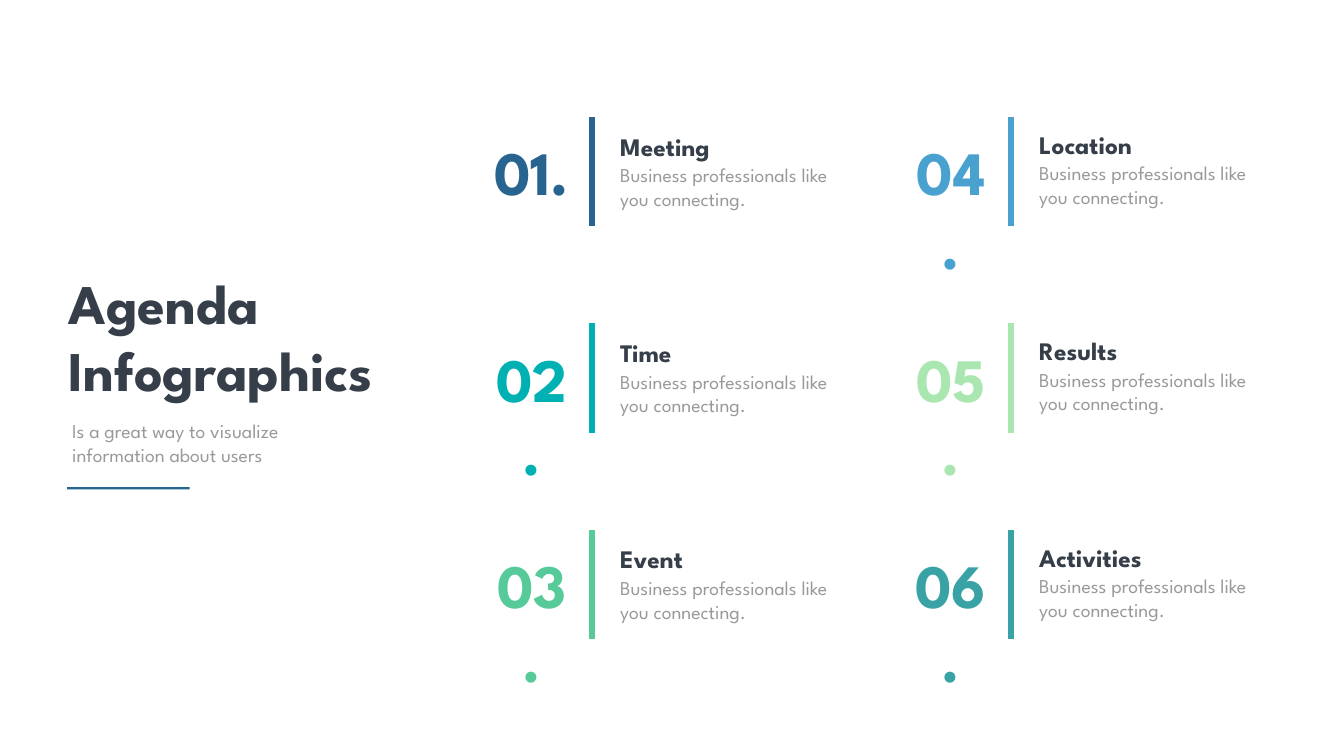
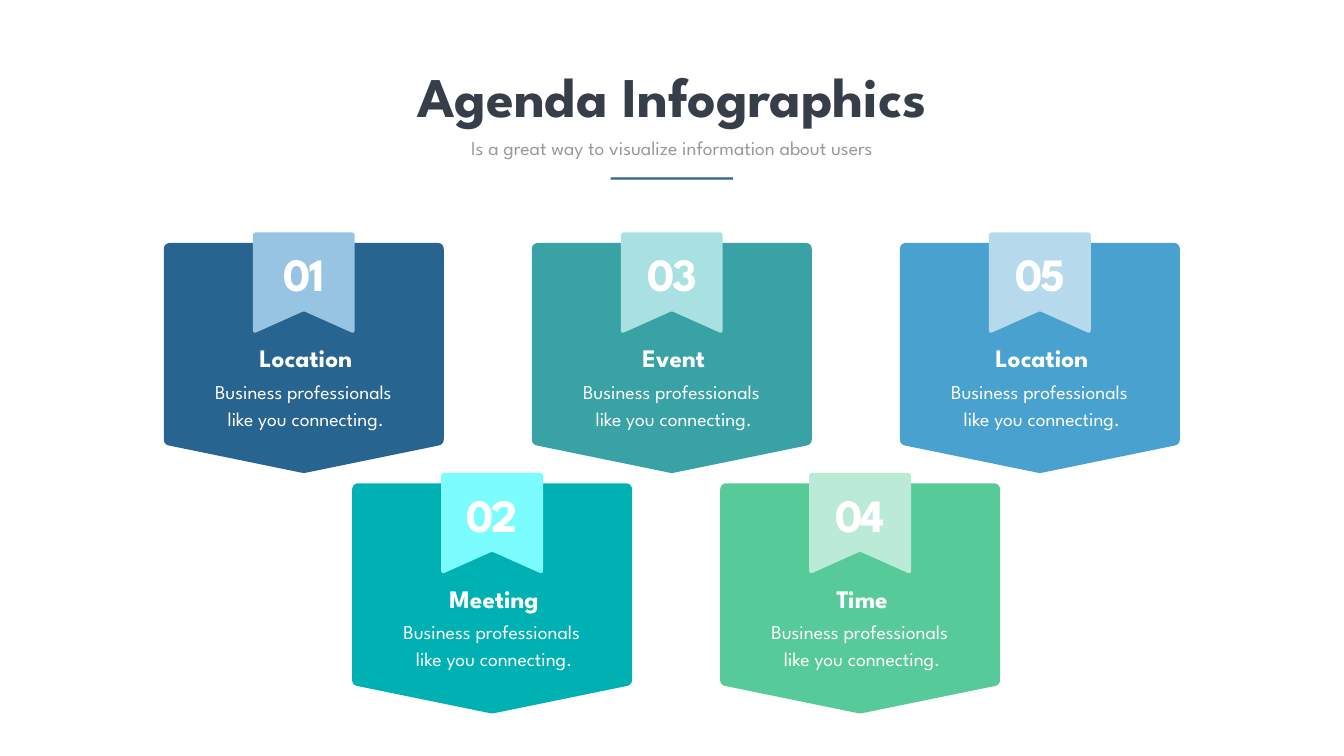
from lxml import etree
from pptx import Presentation
from pptx.dml.color import RGBColor
from pptx.enum import shapes, text
from pptx.oxml.ns import qn
from pptx.util import Pt

FONT = "League Spartan"
COLORS = {
    "ink": "353E49", "grey": "989998", "white": "FFFFFF",
    "navy": "27648F", "cyan": "00B1B4", "green": "56CB99",
    "blue": "48A1CF", "mint": "AAE6B0", "teal": "38A2A5",
    "navy tint": "98C4E3", "cyan tint": "7BFDFF", "green tint": "BBEAD6",
    "blue tint": "B6D9EC", "teal tint": "A9E0E2",
}
SUBTITLE = "Is a great way to visualize information about users"
AGENDA_BODY = "Business professionals like you connecting."
# The trailing space is part of the centred first line.
CARD_BODY = ["Business professionals ", "like you connecting."]

# Columns of the agenda list, each from top to bottom
AGENDA = [
    [("01.", "Meeting", "navy"), ("02.", "Time", "cyan"), ("03.", "Event", "green")],
    [("04.", "Location", "blue"), ("05.", "Results", "mint"), ("06.", "Activities", "teal")],
]
CARDS = [
    ("01", "Location", "navy"), ("02", "Meeting", "cyan"), ("03", "Event", "teal"),
    ("04", "Time", "green"), ("05", "Location", "blue"),
]

# Outlines as (x, y, corner radius)
CARD_OUTLINE = [(0, 0, 10), (400, 0, 10), (400, 288, 8), (200, 329, 4), (0, 288, 8)]
RIBBON_OUTLINE = [(0, 0, 5), (145.5, 0, 5), (145.5, 145, 6), (72.75, 112.5, 3), (0, 145, 6)]

LEFT, CENTER = text.PP_ALIGN.LEFT, text.PP_ALIGN.CENTER


def rgb(name):
    return RGBColor.from_string(COLORS[name])


def add_text(s, box, lines, size, color, bold=False, align=LEFT, leading=None, tracking=None):
    tf = s.shapes.add_textbox(*map(Pt, box)).text_frame
    tf.word_wrap = True
    tf.auto_size = text.MSO_AUTO_SIZE.SHAPE_TO_FIT_TEXT
    tf.text = "\n".join(lines)
    for p in tf.paragraphs:
        p.alignment = align
        if leading:
            p.line_spacing = Pt(leading)
        for r in p.runs:
            r.font.name, r.font.size, r.font.bold = FONT, Pt(size), bold
            r.font.color.rgb = rgb(color)
            if tracking:
                r._r.get_or_add_rPr().set("spc", str(tracking * 100))


def paint(sp, color):
    sp.shadow.inherit = False
    sp.fill.solid()
    sp.fill.fore_color.rgb = rgb(color)
    sp.line.fill.background()


def add_heading(s, title, title_box, subtitle_box, rule_at, align):
    add_text(s, title_box, title, 80, "ink", True, align)
    add_text(s, subtitle_box, [SUBTITLE], 28, "grey", align=align)
    rule = s.shapes.add_shape(shapes.MSO_SHAPE.RECTANGLE, *map(Pt, (*rule_at, 175, 3)))
    paint(rule, "navy")


def add_bar(s, x, top, bottom, color):
    bar = s.shapes.add_connector(shapes.MSO_CONNECTOR.STRAIGHT, Pt(x), Pt(top), Pt(x), Pt(bottom))
    bar.line.color.rgb = rgb(color)
    bar.line.width = Pt(8)
    etree.SubElement(bar._element.spPr, qn("a:effectLst"))


def toward(a, b, distance):
    dx, dy = b[0] - a[0], b[1] - a[1]
    f = distance / (dx * dx + dy * dy) ** 0.5
    return a[0] + dx * f, a[1] + dy * f


def rounded(outline, steps=6):
    """Replace each corner by points on a quadratic curve."""
    points = []
    for i, corner in enumerate(outline):
        x, y, radius = corner
        start = toward(corner, outline[i - 1], radius)
        end = toward(corner, outline[(i + 1) % len(outline)], radius)
        for k in range(steps + 1):
            t = k / steps
            a, b, c = (1 - t) ** 2, 2 * t * (1 - t), t * t
            points.append((a * start[0] + b * x + c * end[0],
                           a * start[1] + b * y + c * end[1]))
    return points


def add_outline(s, outline, x, y, color):
    points = [(Pt(x + px), Pt(y + py)) for px, py in rounded(outline)]
    builder = s.shapes.build_freeform(*points[0])
    builder.add_line_segments(points[1:], close=True)
    paint(builder.convert_to_shape(), color)


def add_agenda_item(s, x, y, lift, number, title, color):
    add_text(s, (x, y + 21, 139, 114), [number], 88, color, True, CENTER)
    add_bar(s, x + 155.5, y, y + 156.5, color)
    add_text(s, (x + 188.5, y + 16.5 - lift, 352, 51), [title], 36, "ink", True)
    add_text(s, (x + 188.5, y + 62.5 - lift, 352, 75), [AGENDA_BODY], 28, "grey")


def add_card(s, x, y, number, title, color):
    add_outline(s, CARD_OUTLINE, x, y, color)
    add_outline(s, RIBBON_OUTLINE, x + 127.25, y - 15, color + " tint")
    add_text(s, (x + 137, y, 127, 87), [number], 66, "white", True, CENTER, tracking=-3)
    add_text(s, (x + 80, y + 139, 245.5, 51), [title], 36, "white", True, CENTER)
    add_text(s, (x + 22, y + 187, 361.5, 83), CARD_BODY, 28, "white", align=CENTER, leading=38.6)


def build_list_slide(s):
    for col, items in enumerate(AGENDA):
        for row, item in enumerate(items):
            add_agenda_item(s, 690.5 + 598.5 * col, 167 + 294.85 * row, 2.5 * col, *item)
    add_heading(s, ["Agenda", "Infographics"], (91, 380, 500, 201),
                (96, 595, 376.5, 75), (96, 696), LEFT)


def build_card_slide(s):
    add_heading(s, ["Agenda Infographics"], (538, 84, 844, 104),
                (615.5, 191, 688.5, 41), (872.5, 253.5), CENTER)
    for i, card in enumerate(CARDS):
        step, lower = divmod(i, 2)
        x = (503 if lower else 234) + 525.75 * step
        add_card(s, x, 690.5 if lower else 347, *card)


def main():
    prs = Presentation()
    prs.slide_width, prs.slide_height = Pt(1920), Pt(1080)
    for build in (build_list_slide, build_card_slide):
        build(prs.slides.add_slide(prs.slide_layouts[6]))
    prs.save("out.pptx")


if __name__ == "__main__":
    main()
